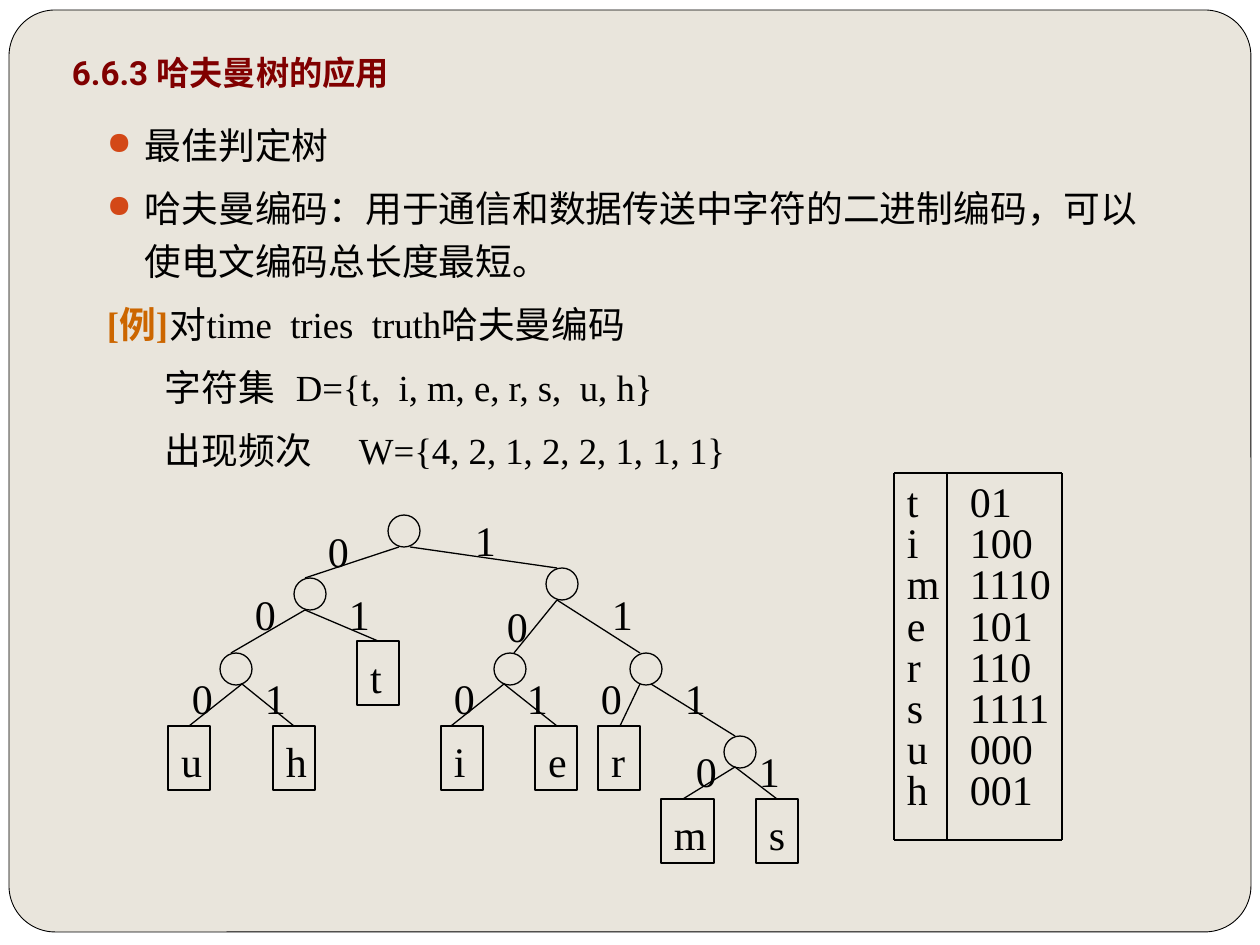
import dataclasses

import lxml.etree
import pptx
import pptx.dml.color
import pptx.enum.shapes
import pptx.enum.text
import pptx.oxml.ns
import pptx.util

SHAPE = pptx.enum.shapes.MSO_SHAPE
ANCHOR = pptx.enum.text.MSO_ANCHOR
SCALE = 914400 / 126


@dataclasses.dataclass(frozen=True)
class Theme:
    page: str = "FFFFFF"
    panel: str = "E9E5DC"
    ink: str = "000000"
    title: str = "800000"
    mark: str = "CC6600"
    dot: str = "D34817"
    head: str = "Roboto"
    body: str = "Times New Roman"
    big: float = 24
    mid: float = 21
    small: float = 19
    thin: float = 0.5
    line: float = 0.75


THEME = Theme()

NODES = [(388, 515), (294, 578), (546, 568), (220, 653),
         (494, 653), (630, 653), (724, 736)]

LEAVES = [("u", 168, 726, 42), ("h", 273, 726, 42), ("t", 357, 641, 42),
          ("i", 441, 726, 42), ("e", 535, 726, 42), ("r", 598, 726, 42),
          ("m", 661, 799, 53), ("s", 756, 799, 42)]

EDGES = [
    ("0", (399, 547), (305, 578), (315, 515)),
    ("1", (410, 547), (557, 568), (462, 505)),
    ("0", (305, 610), (231, 653), (242, 578)),
    ("1", (305, 610), (378, 641), (336, 578)),
    ("0", (242, 684), (189, 726), (179, 663)),
    ("1", (242, 684), (294, 726), (252, 663)),
    ("0", (557, 600), (514, 653), (494, 590)),
    ("1", (557, 600), (640, 653), (599, 578)),
    ("0", (504, 684), (451, 726), (441, 663)),
    ("1", (504, 684), (557, 726), (514, 663)),
    ("0", (640, 684), (620, 726), (588, 663)),
    ("1", (651, 684), (735, 736), (672, 663)),
    ("0", (735, 767), (683, 799), (683, 736)),
    ("1", (735, 767), (777, 799), (746, 736)),
]

CODES = {"t": "01", "i": "100", "m": "1110", "e": "101",
         "r": "110", "s": "1111", "u": "000", "h": "001"}

POINTS = ["最佳判定树",
          "哈夫曼编码：用于通信和数据传送中字符的二进制编码，可以使电文编码总长度最短。"]

SETS = ["字符集\tD={t,  i, m, e, r, s,  u, h}",
        "出现频次\tW={4, 2, 1, 2, 2, 1, 1, 1}"]


def px(num):
    return pptx.util.Emu(round(num * SCALE))


def rgb(code):
    return pptx.dml.color.RGBColor.from_string(code)


def style(font, size, color=THEME.ink, name=THEME.body, bold=False):
    font.size = pptx.util.Pt(size)
    font.color.rgb = rgb(color)
    font.name = name
    font.bold = bold


def add(parent, tag, **attrs):
    return lxml.etree.SubElement(parent, pptx.oxml.ns.qn(tag), attrs)


def indent(para, left, first):
    props = para._p.get_or_add_pPr()
    props.set("marL", str(px(left)))
    props.set("indent", str(px(first)))


def bullet(para):
    props = para._p.get_or_add_pPr()
    add(add(props, "a:buClr"), "a:srgbClr", val=THEME.dot)
    add(props, "a:buSzPct", val="85000")
    add(props, "a:buChar", char="●")


def tab(para, pos):
    stops = add(para._p.get_or_add_pPr(), "a:tabLst")
    add(stops, "a:tab", pos=str(px(pos)), algn="l")


def inset(frame, top=6, bottom=6):
    frame.word_wrap = True
    frame.margin_left = frame.margin_right = px(13)
    frame.margin_top, frame.margin_bottom = px(top), px(bottom)


def shape(slide, kind, box, fill=None, line=THEME.line):
    item = slide.shapes.add_shape(kind, *map(px, box))
    item.shadow.inherit = False
    if fill:
        item.fill.solid()
        item.fill.fore_color.rgb = rgb(fill)
    else:
        item.fill.background()
    if line:
        item.line.color.rgb = rgb(THEME.ink)
        item.line.width = pptx.util.Pt(line)
    else:
        item.line.fill.background()
    return item


def text(slide, box, top=6, bottom=6):
    frame = slide.shapes.add_textbox(*map(px, box)).text_frame
    inset(frame, top, bottom)
    return frame


def line(slide, start, end):
    kind = pptx.enum.shapes.MSO_CONNECTOR.STRAIGHT
    item = slide.shapes.add_connector(kind, *map(px, start + end))
    item.line.color.rgb = rgb(THEME.ink)
    item.line.width = pptx.util.Pt(THEME.line)
    add(item._element.spPr, "a:effectLst")


def letter(frame, char):
    frame.vertical_anchor = ANCHOR.TOP
    frame.text = char
    para = frame.paragraphs[0]
    para.alignment = pptx.enum.text.PP_ALIGN.LEFT
    style(para.runs[0].font, THEME.big)


def panel(slide):
    shape(slide, SHAPE.RECTANGLE, (0, 0, 1260, 945), THEME.page, None)
    card = shape(slide, SHAPE.ROUNDED_RECTANGLE, (9, 10, 1242, 922),
                 THEME.panel, THEME.thin)
    card.adjustments[0] = 0.05


def title(slide):
    frame = text(slide, (59, 10, 1071, 95), bottom=13)
    frame.vertical_anchor = ANCHOR.BOTTOM
    frame.text = "6.6.3 哈夫曼树的应用"
    style(frame.paragraphs[0].runs[0].font, THEME.small, THEME.title,
          THEME.head, True)


def body(slide):
    frame = text(slide, (94, 108, 1071, 683))
    rows = POINTS + ["[例]\t对time  tries  truth哈夫曼编码"] + SETS
    frame.text = "\n".join(rows)
    for num, (para, row) in enumerate(zip(frame.paragraphs, rows)):
        if row in POINTS:
            indent(para, 38, -38)
            bullet(para)
        elif row in SETS:
            indent(para, 0, 58)
            tab(para, 224)
        else:
            label, rest = row.split("\t")
            para.text = label
            para.add_run().text = "\t" + rest
            indent(para, 0, 0)
            tab(para, 106)
        para.line_spacing = 1.2
        para.space_before = pptx.util.Pt(5.8 if num else 0)
        for run in para.runs:
            style(run.font, THEME.mid)
    style(frame.paragraphs[len(POINTS)].runs[0].font, THEME.mid,
          THEME.mark, bold=True)


def tree(slide):
    for left, top in NODES:
        shape(slide, SHAPE.OVAL, (left, top, 32, 32))
    for char, left, top, width in LEAVES:
        leaf = shape(slide, SHAPE.RECTANGLE, (left, top, width, 64))
        inset(leaf.text_frame, top=10)
        letter(leaf.text_frame, char)
    for bit, start, end, spot in EDGES:
        line(slide, start, end)
        letter(text(slide, spot + (53, 63), top=10), bit)


def codes(slide):
    frame = text(slide, (894, 479, 179, 365))
    frame.text = "\n".join(f"{key}\t{code}" for key, code in CODES.items())
    for para in frame.paragraphs:
        indent(para, 0, 0)
        tab(para, 53)
        para.line_spacing = pptx.util.Pt(23.5)
        for run in para.runs:
            style(run.font, THEME.big)
    left, mid, right, top, low = 894, 947, 1062, 473, 840
    for edge in (top, low):
        line(slide, (left, edge), (right, edge))
    for edge in (left, mid, right):
        line(slide, (edge, top), (edge, low))


def main():
    deck = pptx.Presentation()
    deck.slide_width, deck.slide_height = px(1260), px(945)
    slide = deck.slides.add_slide(deck.slide_layouts[6])
    for part in (panel, title, body, tree, codes):
        part(slide)
    deck.save("out.pptx")


if __name__ == "__main__":
    main()
